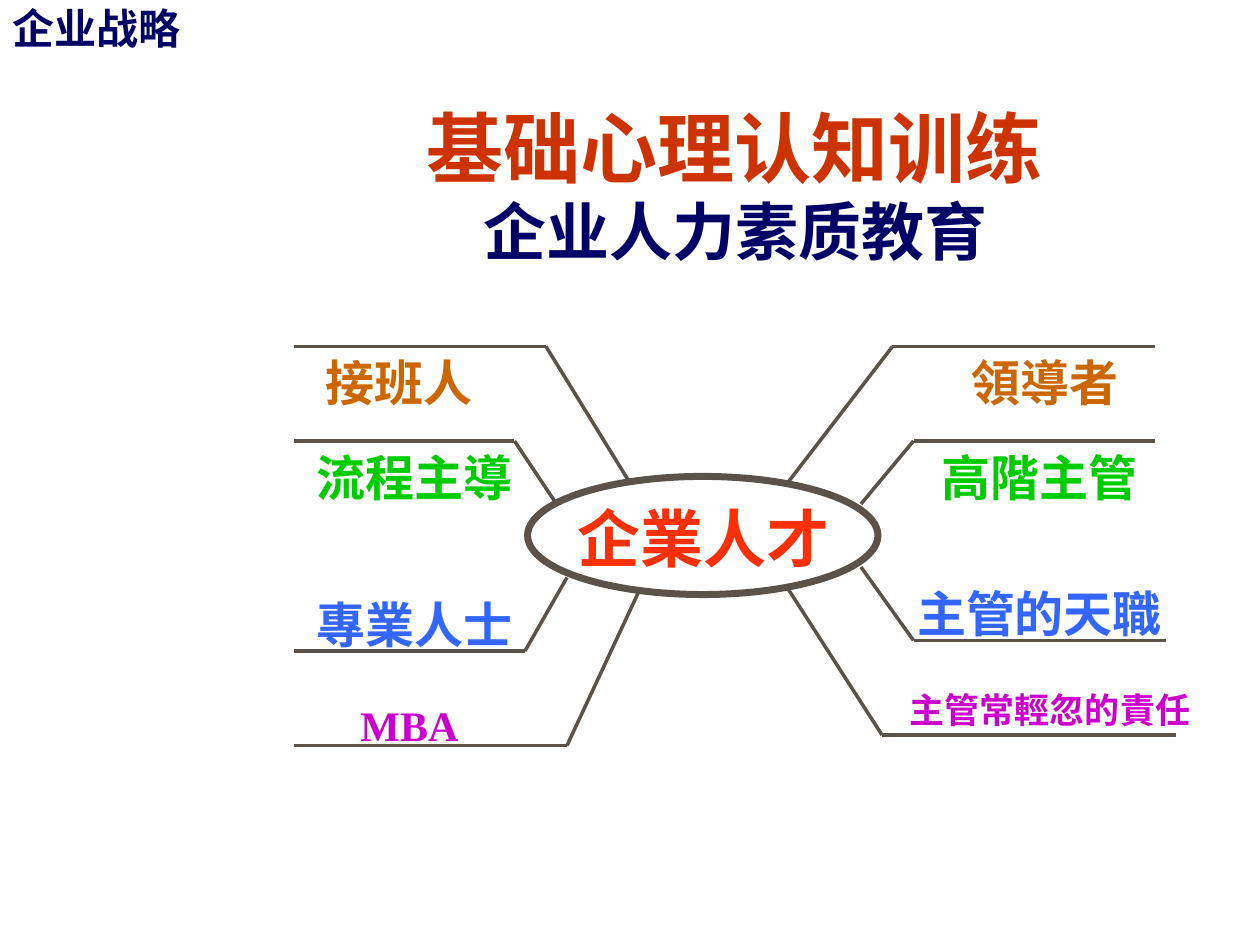
from lxml import etree
from pptx import Presentation
from pptx import util as u
from pptx.dml.color import RGBColor
from pptx.enum import shapes, text
from pptx.oxml.ns import qn

PX = 9525  # EMU per px, 96 px to the inch
NAVY = RGBColor(0x00, 0x00, 0x66)
RUST = RGBColor(0xCC, 0x33, 0x00)
RED = RGBColor(0xFA, 0x30, 0x08)
BROWN = RGBColor(0x5B, 0x52, 0x49)
ORANGE = RGBColor(0xCC, 0x66, 0x00)
GREEN = RGBColor(0x00, 0xCC, 0x00)
BLUE = RGBColor(0x33, 0x66, 0xFF)
PURPLE = RGBColor(0xCC, 0x00, 0xCC)
SERIF = "Times New Roman"
SANS_SC = "Noto Sans CJK SC"
SANS_JP = "Noto Sans CJK JP"


def px(*lengths):
    return [u.Emu(length * PX) for length in lengths]


def write(paragraph, words, *, size, color, font=SERIF, east_asian=SANS_SC):
    run = paragraph.add_run()
    run.text = words
    run.font.name = font
    run.font.size = u.Pt(size)
    run.font.bold = True
    run.font.color.rgb = color
    etree.SubElement(run.font._element, qn("a:ea"), typeface=east_asian)


class MindMap:
    """Style of the map and the slide it is drawn on."""

    line_color = BROWN
    branch_width = u.Pt(2)
    core_width = u.Pt(4)

    def __init__(self, slide):
        self.slide = slide

    def text_box(self, box, align=text.PP_ALIGN.CENTER, anchor=text.MSO_ANCHOR.TOP,
                 fit=text.MSO_AUTO_SIZE.SHAPE_TO_FIT_TEXT):
        """Add an empty box and return its first paragraph."""
        frame = self.slide.shapes.add_textbox(*px(*box)).text_frame
        frame.word_wrap = True
        frame.auto_size = fit
        frame.vertical_anchor = anchor
        paragraph = frame.paragraphs[0]
        paragraph.alignment = align
        return paragraph

    def core(self, box):
        oval = self.slide.shapes.add_shape(shapes.MSO_SHAPE.OVAL, *px(*box))
        oval.shadow.inherit = False
        oval.fill.background()
        oval.line.color.rgb = self.line_color
        oval.line.width = self.core_width

    def line(self, start, end):
        connector = self.slide.shapes.add_connector(
            shapes.MSO_CONNECTOR.STRAIGHT, *px(*start, *end))
        connector.line.color.rgb = self.line_color
        connector.line.width = self.branch_width
        etree.SubElement(connector._element.spPr, qn("a:effectLst"))

    def branch(self, root, elbow, tip_x):
        self.line(root, elbow)
        self.line(elbow, (tip_x, elbow[1]))


# root on the oval, elbow, x of the tip
BRANCHES = [
    ((600, 368), (680, 264), 880),
    ((656, 384), (696, 336), 880),
    ((656, 432), (696, 488), 888),
    ((600, 448), (672, 560), 896),
    ((480, 368), (416, 264), 224),
    ((424, 384), (392, 336), 224),
    ((432, 440), (400, 496), 224),
    ((488, 448), (432, 568), 224),
]

# words, box, size, color, font, East Asian font
LABELS = [
    ("企業人才", (424, 376, 224, 67), 36, RED, SERIF, SANS_SC),
    ("領導者", (712, 264, 168, 55), 28, ORANGE, SERIF, SANS_SC),
    ("高階主管", (688, 336, 208, 55), 28, GREEN, SERIF, SANS_SC),
    ("主管的天職", (688, 440, 208, 55), 28, BLUE, SERIF, SANS_SC),
    ("主管常輕忽的責任", (664, 520, 272, 41), 20, PURPLE, SERIF, SANS_SC),
    ("接班人", (232, 264, 144, 55), 28, ORANGE, SANS_SC, SANS_SC),
    ("流程主導", (216, 336, 200, 55), 28, GREEN, SANS_JP, SANS_JP),
    ("專業人士", (224, 448, 184, 55), 28, BLUE, SANS_SC, SANS_SC),
    ("MBA", (240, 528, 144, 48), 24, PURPLE, SERIF, SANS_SC),
]


def main():
    deck = Presentation()
    deck.slide_width, deck.slide_height = px(960, 720)
    talent = MindMap(deck.slides.add_slide(deck.slide_layouts[6]))

    section = talent.text_box((0, -3, 160, 48), align=text.PP_ALIGN.LEFT)
    write(section, "企业战略", size=24, color=NAVY)

    talent.core((402, 363, 267, 90))
    for root, elbow, tip_x in BRANCHES:
        talent.branch(root, elbow, tip_x)
    for words, box, size, color, font, east_asian in LABELS:
        write(talent.text_box(box), words, size=size, color=color,
              font=font, east_asian=east_asian)

    title = talent.text_box((160, 129, 800, 80), anchor=text.MSO_ANCHOR.BOTTOM,
                            fit=text.MSO_AUTO_SIZE.NONE)
    write(title, "基础心理认知训练", size=44, color=RUST)
    title.add_line_break()
    write(title, "企业人力素质教育", size=36, color=NAVY)

    deck.save("out.pptx")


if __name__ == "__main__":
    main()
